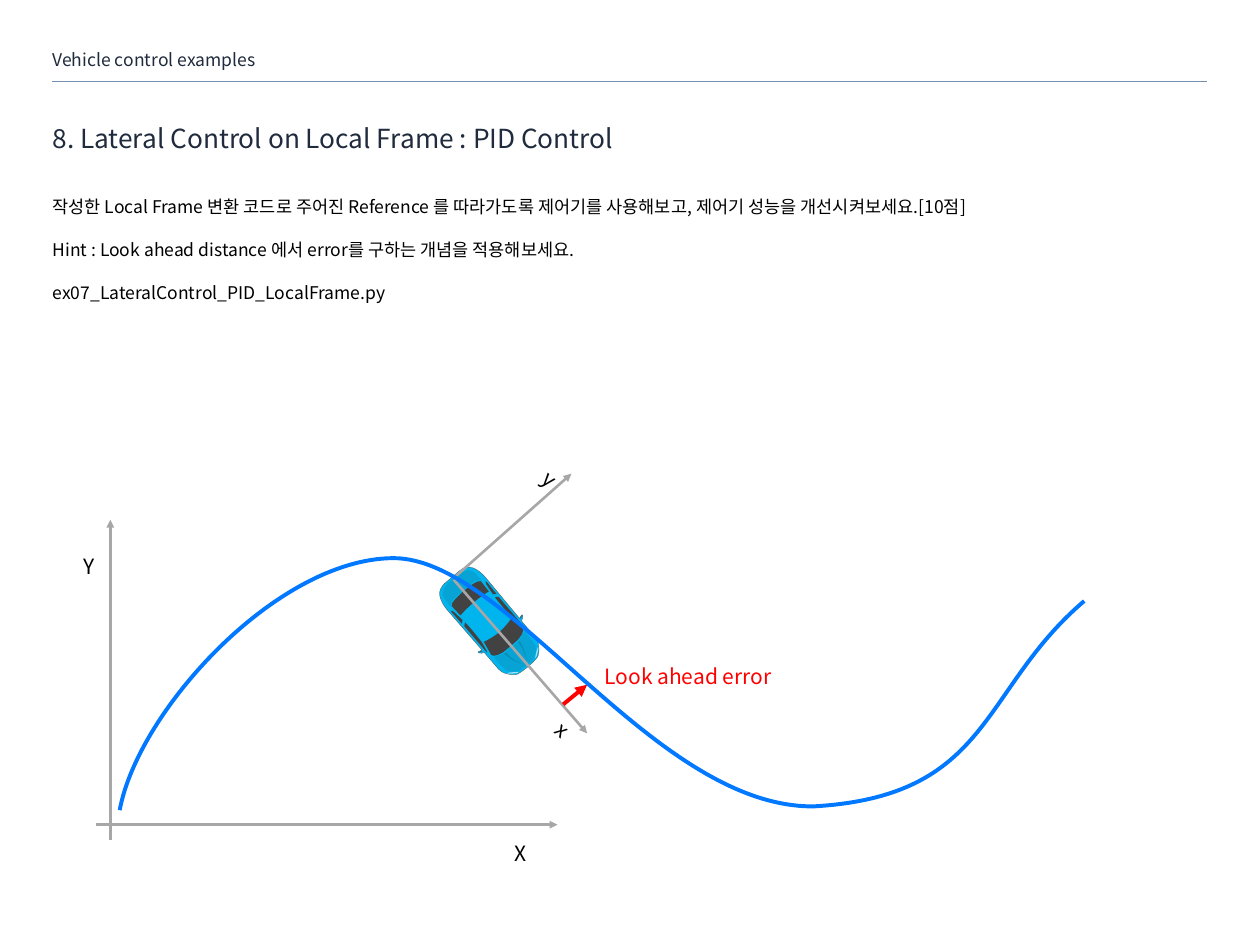
from dataclasses import dataclass
from math import cos, radians, sin
from typing import NamedTuple

from lxml import etree
from pptx import Presentation
from pptx import util as u
from pptx.dml.color import RGBColor
from pptx.enum import shapes, text
from pptx.oxml.ns import qn


@dataclass(frozen=True)
class Theme:
    font: str = "Noto Sans CJK KR"
    heading: str = "202B3D"
    body: str = "000000"
    rule: str = "778FAE"
    axis: str = "A7A7A7"
    error: str = "FF0000"
    reference: str = "0078FF"
    paint: str = "00B4ED"
    outline: str = "5B4036"
    glass: str = "424242"
    shade: str = "3C2A24"
    crease: str = "000000"
    lamp: str = "FFFFFF"
    title_size: float = 30
    body_size: float = 20
    label_size: float = 24


class Box(NamedTuple):
    left: float
    top: float
    width: float
    height: float


class Arrow(NamedTuple):
    start: tuple
    end: tuple
    color: str
    width: float
    head: bool = True


class Label(NamedTuple):
    words: str
    box: Box
    color: str
    turn: float = 0


class CarPart(NamedTuple):
    steps: list
    color: str
    paired: bool = False
    opacity: int = 100
    outline: str = ""


THEME = Theme()
CAR_CENTER = (560.2, 710.6)
HEADING_ANGLE = 49.7
FRAME_TURN = 41.3
LAMP_SPLAY = 35.9
LAMP_SIZE = (1.44, 12.96)
LAMP_PLACE = (61.3, 18)

CAR = [
    CarPart([((67.2, 0),), ((67, 6.8), (66.8, 10), (66.4, 12)),
             ((65.8, 17), (64.3, 17.7), (61.5, 21)), ((58.6, 23.3), (53.9, 27.8), (47.3, 27.8)),
             ((21.7, 27.9),), ((21.4, 30.4),), ((21, 32), (16.7, 34.9), (17.4, 31.8)),
             ((18.7, 28.1),), ((-38.5, 28.7),), ((-50.2, 29.2), (-56.6, 26.6), (-59.8, 24.8)),
             ((-65.1, 22.2), (-66.6, 16.2), (-67, 12.2)), ((-67.2, 0),)],
            THEME.paint, outline=THEME.outline),
    CarPart([((15.9, 0),), ((15.6, 9.4), (14, 15.7), (12.9, 20.4)), ((30, 23.6),),
             ((34, 22.2), (35.5, 15), (36.2, 10.8)), ((36.3, 0),)], THEME.glass),
    CarPart([((-29.1, 0),), ((-29, 10), (-28.1, 18.7), (-27.4, 21.2)), ((-42.2, 21.9),),
             ((-45.4, 20), (-46.1, 11), (-46.5, 0))], THEME.glass),
    CarPart([((-19.3, 26.1),), ((-36.7, 26.5),), ((-41.3, 26.4), (-35.8, 24.4), (-35.8, 24.4)),
             ((-22.1, 22.8),)], THEME.glass, paired=True),
    CarPart([((-15.3, 25.8),), ((-18.1, 22.4),), ((-13.6, 21.6), (4.9, 22.1), (12.1, 22.5)),
             ((18.8, 23.5), (28.2, 25.8), (23.6, 25.7))], THEME.glass, paired=True),
    CarPart([((18.5, 31.7),), ((19.8, 29),), ((18.8, 29.1),)], THEME.glass, paired=True),
    CarPart([((37.8, 0),), ((37.6, 10.2),), ((37.4, 13.8), (34.8, 19.1), (33.6, 22.8)),
             ((40.8, 23.2), (53.5, 22.7), (56.4, 21.4)), ((59.3, 19.1), (64.4, 12.1), (64.2, 10.1)),
             ((65, 0),)], THEME.shade, opacity=12),
    CarPart([((38.3, 11.7),), ((38.6, 9.1),), ((47.7, 8.3),), ((60.1, 3.7),), ((48.8, 9.3),)],
            THEME.crease, paired=True, opacity=12),
    CarPart([((-47.8, 0),), ((-47.5, 7),), ((-46.6, 17.1),), ((-42.5, 23.4),),
             ((-55.9, 22.5),), ((-60, 21), (-62, 18), (-63.1, 15.4)), ((-65, 5.3),), ((-65.2, 0),)],
            THEME.shade, opacity=12),
]

REFERENCE = [((136.8, 925.9),), ((157.7, 812.2), (316.8, 638.6), (449.3, 637.9)),
             ((581, 637.2), (745.9, 922.3), (929.5, 921.6)),
             ((1133.3, 910.1), (1119.6, 788.4), (1239.1, 686.9))]
GLOBAL_AXES = [Arrow((109.4, 942.5), (637.2, 942.5), THEME.axis, 3),
               Arrow((126, 960.5), (126, 594), THEME.axis, 3)]
LOCAL_AXES = [Arrow((518.4, 662.4), (671, 838.1), THEME.axis, 3),
              Arrow((520.6, 658.8), (653, 541.4), THEME.axis, 3)]
HEADER_RULE = Arrow((60, 92.9), (1380, 92.9), THEME.rule, 0.25, head=False)
ERROR_ARROW = Arrow((643.7, 805), (671, 782.6), THEME.error, 4.5)
LABELS = [
    Label("Y", Box(60, 626.4, 84, 42.5), THEME.body),
    Label("X", Box(553, 954, 84, 42.5), THEME.body),
    Label("x", Box(601.2, 812.9, 84, 42.5), THEME.body, FRAME_TURN),
    Label("y", Box(586.1, 526.2, 84, 42.5), THEME.body, FRAME_TURN),
    Label("Look ahead error", Box(658.1, 751.7, 256.3, 42.5), THEME.error),
]
TASK = [
    "작성한 Local Frame 변환 코드로 주어진 Reference 를 따라가도록 제어기를 사용해보고, 제어기 성능을 개선시켜보세요.[10점]",
    "Hint : Look ahead distance 에서 error를 구하는 개념을 적용해보세요.",
    "ex07_LateralControl_PID_LocalFrame.py",
]


def mirror(steps: list) -> list:
    return [tuple((ahead, -side) for ahead, side in step) for step in steps]


def join_halves(steps: list) -> list:
    points = [point for step in mirror(steps) for point in step][-2::-1]
    remaining = iter(points)
    return steps + [tuple(next(remaining) for _ in step) for step in steps[:0:-1]]


def on_slide(point: tuple) -> tuple:
    ahead, side = point
    c, s = cos(radians(HEADING_ANGLE)), sin(radians(HEADING_ANGLE))
    return CAR_CENTER[0] + ahead * c - side * s, CAR_CENTER[1] + ahead * s + side * c


def draw_outline(slide, steps: list, close: bool):
    vertices = [(u.Pt(x), u.Pt(y)) for step in steps for x, y in step]
    builder = slide.shapes.build_freeform(*vertices[0])
    builder.add_line_segments(vertices[1:], close=close)
    shape = builder.convert_to_shape()
    shape.shadow.inherit = False
    segments = iter(list(shape._element.iter(qn("a:lnTo"))))
    for step in steps[1:]:
        group = [next(segments) for _ in step]
        if len(group) == 3:
            curve = etree.Element(qn("a:cubicBezTo"))
            group[0].addprevious(curve)
            for segment in group:
                curve.append(segment[0])
                segment.getparent().remove(segment)
    return shape


def paint(shape, color: str, opacity: int = 100) -> None:
    shape.fill.solid()
    shape.fill.fore_color.rgb = RGBColor.from_string(color)
    shape.line.fill.background()
    if opacity < 100:
        fill_color = shape._element.spPr.find(qn("a:solidFill"))[0]
        etree.SubElement(fill_color, qn("a:alpha"), val=str(opacity * 1000))


def stroke(shape, color: str, width: float) -> None:
    shape.line.color.rgb = RGBColor.from_string(color)
    shape.line.width = u.Pt(width)


def draw_car(slide) -> None:
    for part in CAR:
        for steps in ([part.steps, mirror(part.steps)] if part.paired else [join_halves(part.steps)]):
            shape = draw_outline(slide, steps, close=True)
            x, y = on_slide((u.Length(shape.left + shape.width / 2).pt, u.Length(shape.top + shape.height / 2).pt))
            shape.left, shape.top = u.Pt(x) - shape.width // 2, u.Pt(y) - shape.height // 2
            shape.rotation = HEADING_ANGLE
            paint(shape, part.color, part.opacity)
            if part.outline:
                stroke(shape, part.outline, 0.25)
    width, height = LAMP_SIZE
    for side in (1, -1):
        x, y = on_slide((LAMP_PLACE[0], side * LAMP_PLACE[1]))
        lamp = slide.shapes.add_shape(shapes.MSO_SHAPE.OVAL, u.Pt(x - width / 2), u.Pt(y - height / 2),
                                      u.Pt(width), u.Pt(height))
        lamp.rotation = HEADING_ANGLE + side * LAMP_SPLAY
        lamp.shadow.inherit = False
        paint(lamp, THEME.lamp, 63)


def draw_arrow(slide, arrow: Arrow) -> None:
    ends = [u.Pt(v) for v in (*arrow.start, *arrow.end)]
    connector = slide.shapes.add_connector(shapes.MSO_CONNECTOR.STRAIGHT, *ends)
    stroke(connector, arrow.color, arrow.width)
    properties = connector._element.spPr
    if arrow.head:
        etree.SubElement(properties.find(qn("a:ln")), qn("a:tailEnd"), type="triangle")
    etree.SubElement(properties, qn("a:effectLst"))


def style(paragraph, size: float, color: str) -> None:
    paragraph.font.size = u.Pt(size)
    paragraph.font.color.rgb = RGBColor.from_string(color)
    paragraph.font.name = THEME.font
    defaults = paragraph._p.pPr.find(qn("a:defRPr"))
    defaults.set("kern", "0")
    etree.SubElement(defaults, qn("a:ea"), typeface=THEME.font)


def fill_placeholder(holder, box: Box, lines: list, size: float, color: str,
                     anchor, spacing: float = 0.9, before: float = 0) -> None:
    holder.left, holder.top, holder.width, holder.height = map(u.Pt, box)
    frame = holder.text_frame
    frame.text = "\n".join(lines)
    frame.margin_left = frame.margin_right = frame.margin_top = frame.margin_bottom = 0
    frame.vertical_anchor = anchor
    frame.auto_size = text.MSO_AUTO_SIZE.NONE
    for paragraph in frame.paragraphs:
        paragraph.alignment = text.PP_ALIGN.LEFT
        paragraph.line_spacing = spacing
        paragraph.space_before = u.Pt(before)
        properties = paragraph._p.pPr
        properties.set("marL", "0")
        properties.set("indent", "0")
        etree.SubElement(properties, qn("a:buNone"))
        style(paragraph, size, color)


def draw_label(slide, label: Label) -> None:
    box = slide.shapes.add_textbox(*map(u.Pt, label.box))
    box.rotation = label.turn
    box.text_frame.word_wrap = True
    box.text_frame.margin_top = box.text_frame.margin_bottom = u.Pt(6.5)
    paragraph = box.text_frame.paragraphs[0]
    paragraph.text = label.words
    paragraph.alignment = text.PP_ALIGN.CENTER
    style(paragraph, THEME.label_size, label.color)


def main() -> None:
    deck = Presentation()
    deck.slide_width, deck.slide_height = u.Pt(1440), u.Pt(1080)
    slide = deck.slides.add_slide(deck.slide_layouts[3])
    title, task, chapter = slide.placeholders
    middle, top = text.MSO_ANCHOR.MIDDLE, text.MSO_ANCHOR.TOP
    fill_placeholder(task, Box(60, 211.7, 1320, 132.5), TASK, THEME.body_size, THEME.body, top, 1.5, 13.5)
    fill_placeholder(title, Box(60, 136.8, 1320, 46.8), ["8. Lateral Control on Local Frame : PID Control"],
                     THEME.title_size, THEME.heading, middle)
    fill_placeholder(chapter, Box(60, 54, 1117.4, 31), ["Vehicle control examples"],
                     THEME.body_size, THEME.heading, middle)
    draw_car(slide)
    for arrow in (HEADER_RULE, *GLOBAL_AXES, *LOCAL_AXES, ERROR_ARROW):
        draw_arrow(slide, arrow)
    for label in LABELS:
        draw_label(slide, label)
    reference = draw_outline(slide, REFERENCE, close=False)
    reference.fill.background()
    stroke(reference, THEME.reference, 4.5)
    deck.save("out.pptx")


if __name__ == "__main__":
    main()
